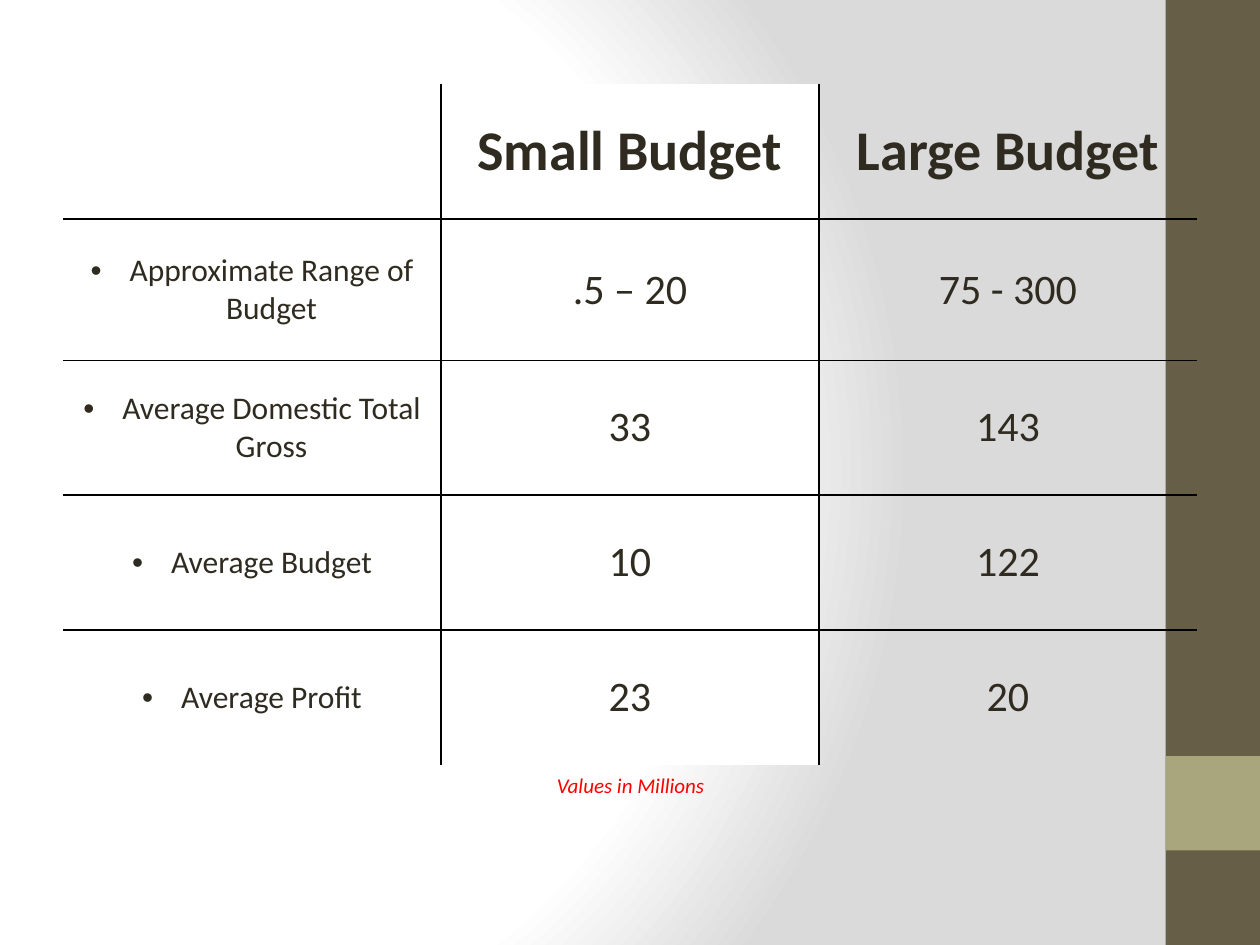
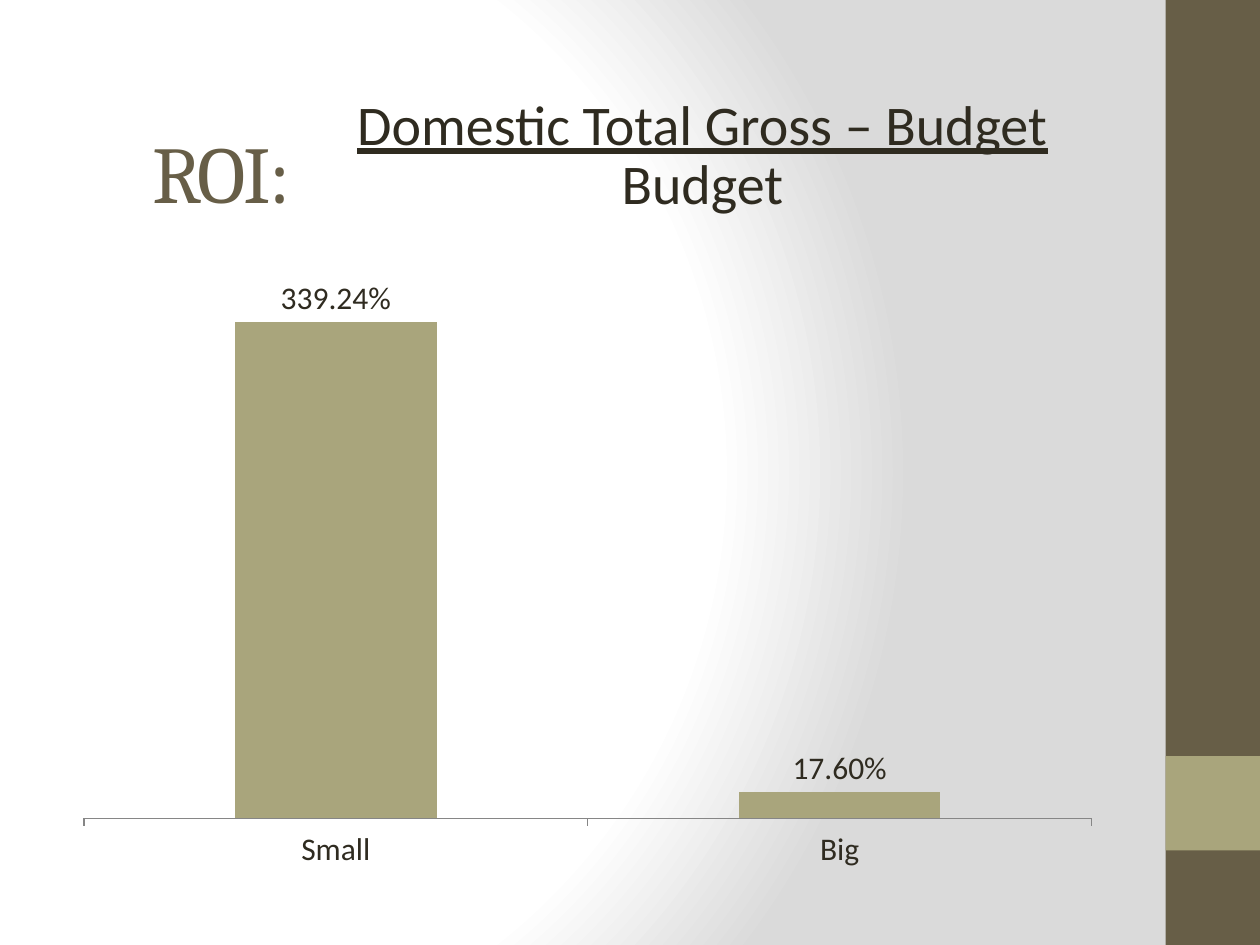
import pptx
import pptx.chart.data
import pptx.dml.color
import pptx.enum.chart
import pptx.enum.shapes
import pptx.enum.text
import pptx.oxml
import pptx.oxml.ns
import pptx.util
from pptx.util import Inches

COLORS = {
    "brown": "675E47",
    "olive": "A9A57C",
    "ink": "2F2B20",
    "white": "FFFFFF",
    "shade": "DADADA",
    "line": "000000",
    "axis": "868686",
    "note": "FF0000",
}
HEADING_FONT = "Cambria"
BODY_FONT = "Calibri"
NO_STYLE = "{2D5ABB26-0587-4C30-8999-92F81FD0307C}"
ALIGN = pptx.enum.text.PP_ALIGN
ANCHOR = pptx.enum.text.MSO_ANCHOR
AUTO_SIZE = pptx.enum.text.MSO_AUTO_SIZE
BUDGET_ROWS = [
    ("", "Small Budget", "Large Budget"),
    ("Approximate Range of Budget", ".5 – 20", "75 - 300"),
    ("Average Domestic Total Gross", "33", "143"),
    ("Average Budget", "10", "122"),
    ("Average Profit", "23", "20"),
]


def rgb(name):
    return pptx.dml.color.RGBColor.from_string(COLORS[name])


def parse_drawing(tag, attributes="", content=""):
    """Return a DrawingML element built from its tag, attributes and content."""
    namespace = pptx.oxml.ns.nsdecls("a")
    return pptx.oxml.parse_xml(f"<a:{tag} {namespace} {attributes}>{content}</a:{tag}>")


def solid(name):
    return f'<a:solidFill><a:srgbClr val="{COLORS[name]}"/></a:solidFill>'


def format_font(font, size, color="ink", name=BODY_FONT, **styles):
    font.size = pptx.util.Pt(size)
    font.name = name
    font.color.rgb = rgb(color)
    for style, value in styles.items():
        setattr(font, style, value)


def write(para, text, align=ALIGN.CENTER, spacing=None, before=None, bullet=False, **font):
    """Fill a paragraph with one span of formatted text."""
    para.alignment = align
    if spacing:
        para.line_spacing = spacing
    if before:
        para.space_before = pptx.util.Pt(before)
    if bullet:
        properties = para._p.get_or_add_pPr()
        properties.set("marL", str(Inches(0.31)))
        properties.set("indent", str(-Inches(0.31)))
        properties.append(parse_drawing("buFont", 'typeface="Arial"'))
        properties.append(parse_drawing("buChar", 'char="•"'))
    span = para.add_run()
    span.text = text
    format_font(span.font, **font)
    return span


class BudgetDeck:
    def __init__(self):
        self.deck = pptx.Presentation()
        self.deck.slide_width = Inches(10)
        self.deck.slide_height = Inches(7.5)
        self.page = None
        self.shade_background()

    def shade_background(self):
        """Give the slide master a circular gradient."""
        fill = self.deck.slide_master.background.fill
        fill.gradient()
        gradient = self.deck.slide_master._element.find(".//" + pptx.oxml.ns.qn("a:gradFill"))
        for child in list(gradient):
            gradient.remove(child)
        stops = "".join(
            f'<a:gs pos="{percent * 1000}"><a:srgbClr val="{COLORS[name]}"/></a:gs>'
            for percent, name in [(0, "white"), (75, "white"), (100, "shade")]
        )
        gradient.append(parse_drawing("gsLst", content=stops))
        target = '<a:fillToRect l="20000" t="50000" r="100000" b="50000"/>'
        gradient.append(parse_drawing("path", 'path="circle"', target))

    def add_page(self, layout):
        layouts = self.deck.slide_layouts
        self.page = self.deck.slides.add_slide(layouts.get_by_name(layout))
        self.add_band(0, 7.5, "brown")
        self.add_band(6, 0.75, "olive")

    def add_band(self, top, height, color):
        band = self.page.shapes.add_shape(
            pptx.enum.shapes.MSO_SHAPE.RECTANGLE,
            Inches(9.25), Inches(top), Inches(0.75), Inches(height),
        )
        band.shadow.inherit = False
        band.fill.solid()
        band.fill.fore_color.rgb = rgb(color)
        band.line.fill.background()

    def add_title(self, text, left, top, width, height):
        title = self.page.shapes.title
        title.left, title.top = Inches(left), Inches(top)
        title.width, title.height = Inches(width), Inches(height)
        frame = title.text_frame
        frame.auto_size = AUTO_SIZE.NONE
        frame.vertical_anchor = ANCHOR.BOTTOM
        span = write(frame.paragraphs[0], text, align=ALIGN.RIGHT, spacing=0.8,
                     size=46, color="brown", name=HEADING_FONT)
        span.font._element.set("spc", "-100")

    def add_text(self, left, top, width, height):
        """Add an empty text box and return its frame."""
        box = self.page.shapes.add_textbox(
            Inches(left), Inches(top), Inches(width), Inches(height))
        frame = box.text_frame
        frame.word_wrap = True
        frame.auto_size = AUTO_SIZE.SHAPE_TO_FIT_TEXT
        return frame

    def add_table(self, rows, left, top, column_width, row_heights):
        columns = len(rows[0])
        frame = self.page.shapes.add_table(
            len(rows), columns, Inches(left), Inches(top),
            Inches(column_width * columns), Inches(sum(row_heights)),
        )
        table = frame.table
        table._tbl.tblPr.find(pptx.oxml.ns.qn("a:tableStyleId")).text = NO_STYLE
        table.horz_banding = False
        for column in table.columns:
            column.width = Inches(column_width)
        for row, height in zip(table.rows, row_heights):
            row.height = Inches(height)
        for row, texts in enumerate(rows):
            for column, text in enumerate(texts):
                cell = table.cell(row, column)
                self.draw_inner_borders(cell, {
                    "lnL": column > 0,
                    "lnR": column < columns - 1,
                    "lnT": row > 0,
                    "lnB": row < len(rows) - 1,
                })
                self.fill_cell(cell, text, header=row == 0, column=column)

    def fill_cell(self, cell, text, header, column):
        cell.vertical_anchor = ANCHOR.MIDDLE
        if column == 1:
            cell.fill.solid()
            cell.fill.fore_color.rgb = rgb("white")
        else:
            cell.fill.background()
        if text:
            label = column == 0
            size = 32 if header else 18 if label else 24
            write(cell.text_frame.paragraphs[0], text, bullet=label, size=size, bold=header)

    def draw_inner_borders(self, cell, sides):
        properties = cell._tc.get_or_add_tcPr()
        for side, visible in sides.items():
            paint = solid("line") if visible else "<a:noFill/>"
            properties.append(parse_drawing(side, 'w="12700"', paint))

    def add_column_chart(self, categories, values, left, top, width, height):
        data = pptx.chart.data.CategoryChartData(number_format="0.00%")
        data.categories = categories
        data.add_series("Series 1", values)
        chart = self.page.shapes.add_chart(
            pptx.enum.chart.XL_CHART_TYPE.COLUMN_CLUSTERED,
            Inches(left), Inches(top), Inches(width), Inches(height), data,
        ).chart
        chart.has_title = False
        chart.has_legend = False
        format_font(chart.font, 18)

        axis = chart.category_axis
        axis.major_tick_mark = pptx.enum.chart.XL_TICK_MARK.OUTSIDE
        axis.format.line.color.rgb = rgb("axis")
        scale = chart.value_axis
        scale.minimum_scale, scale.maximum_scale = 0, 4
        scale.has_major_gridlines = False
        scale.visible = False

        plot = chart.plots[0]
        plot.gap_width = 150
        plot.vary_by_categories = False
        bars = plot.series[0]
        bars.format.fill.solid()
        bars.format.fill.fore_color.rgb = rgb("olive")
        labels = bars.data_labels
        labels.show_value = True
        labels.number_format = "0.00%"
        labels.number_format_is_linked = False
        labels.position = pptx.enum.chart.XL_LABEL_POSITION.OUTSIDE_END
        format_font(labels.font, 18)


def build_budget_page(show):
    show.add_page("Blank")
    show.add_table(BUDGET_ROWS, 0.5, 0.67, 3, [1.07, 1.12, 1.07, 1.07, 1.07])
    note = show.add_text(2.18, 6.08, 5.65, 0.3)
    write(note.paragraphs[0], "Values in Millions", size=12, color="note", italic=True)


def build_return_page(show):
    show.add_page("Title Only")
    show.add_title("ROI:", 0.5, 0.3, 1.91, 1.49)
    show.add_column_chart(["Small", "Big"], [3.3924, 0.176], 0.5, 1.75, 8.33, 5.25)
    formula = show.add_text(2.58, 0.5, 5.99, 1.29)
    formula.margin_left = formula.margin_right = Inches(0.2)
    formula.margin_top = Inches(0.21)
    write(formula.paragraphs[0], "Domestic Total Gross – Budget", size=32, underline=True)
    write(formula.add_paragraph(), "Budget", spacing=0.8, before=3, size=32)


def main():
    show = BudgetDeck()
    build_budget_page(show)
    build_return_page(show)
    show.deck.save("out.pptx")


if __name__ == "__main__":
    main()
